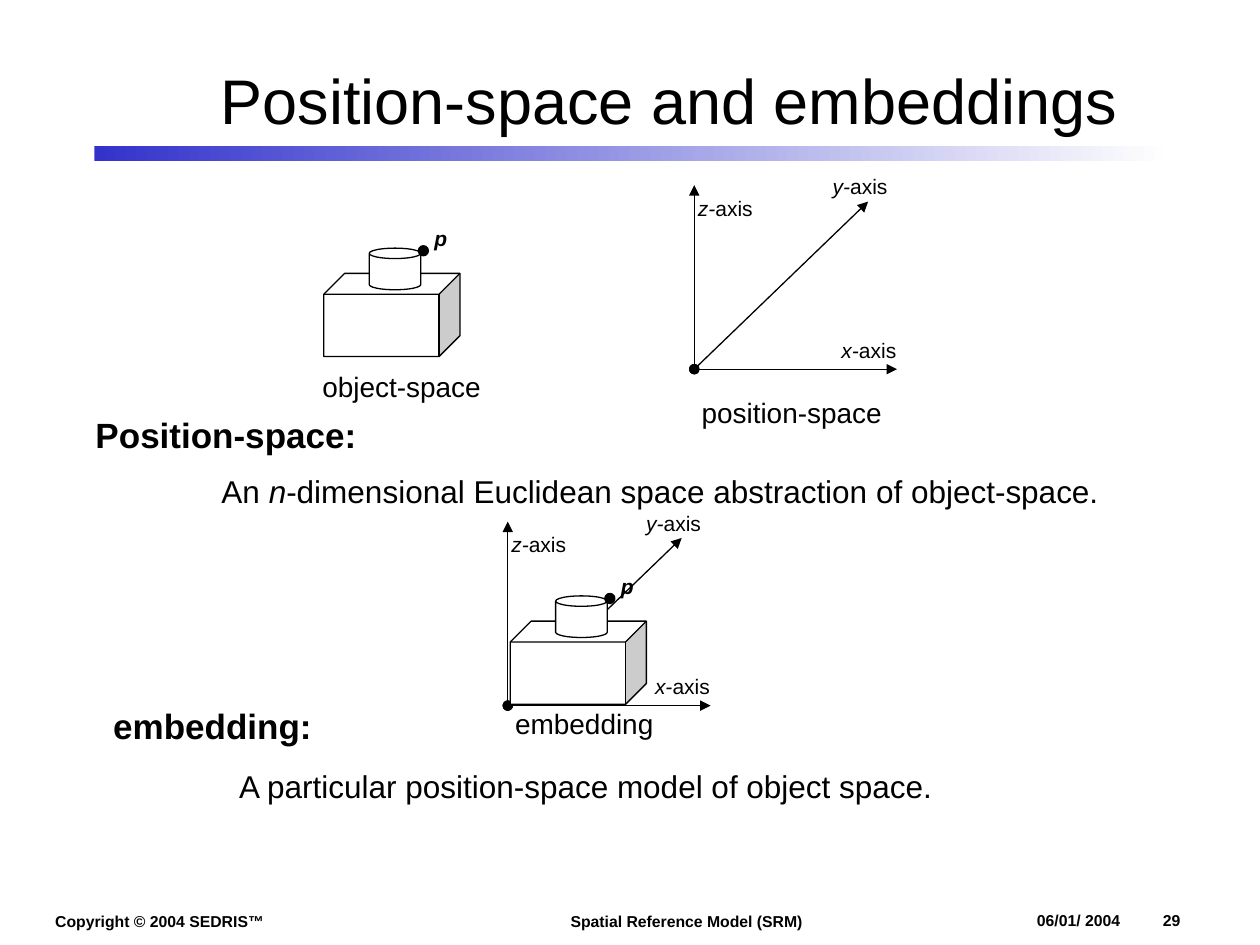
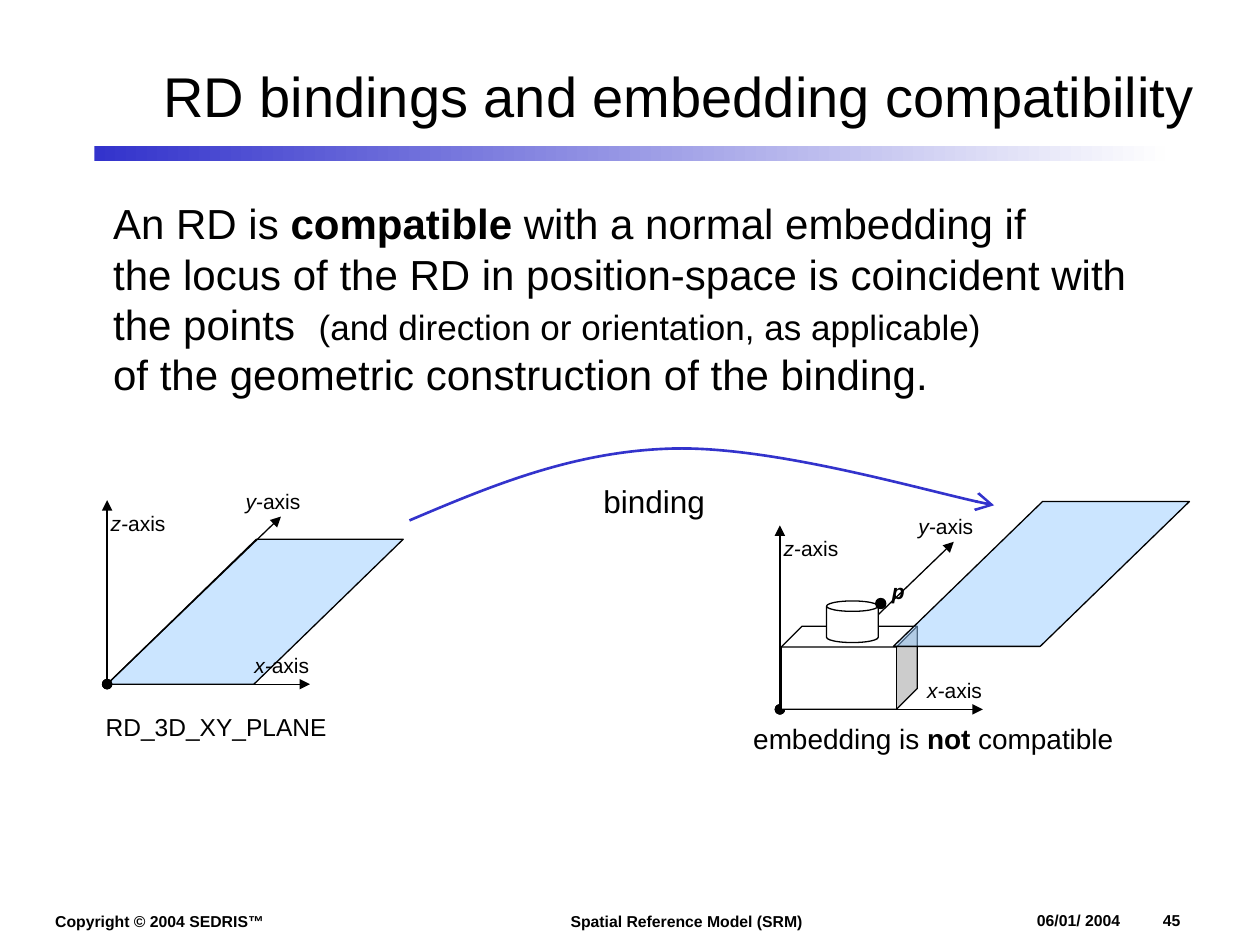
from typing import NamedTuple, Optional

from lxml import etree
from pptx import Presentation
from pptx.dml.color import RGBColor
from pptx.enum import shapes, text
from pptx.oxml.ns import qn
from pptx.util import Inches, Pt

BLACK = RGBColor(0x00, 0x00, 0x00)
WHITE = RGBColor(0xFF, 0xFF, 0xFF)
BAND_START = RGBColor(0x33, 0x33, 0xCC)
BAND_END = RGBColor(0xFE, 0xFE, 0xFE)
PLANE_BLUE = RGBColor(0x99, 0xCC, 0xFF)
FONT = "Arial"
KIND = shapes.MSO_SHAPE
PLANE_SIZE = (2.35, 1.15)


class Run(NamedTuple):
    text: str
    bold: bool = False
    italic: bool = False
    size: Optional[float] = None


class Line(NamedTuple):
    runs: list[Run]
    space_after: float = 0
    indent: float = 0
    spacing: Optional[float] = None


class Box(NamedTuple):
    left: float
    top: float
    width: float
    height: float

    def lengths(self) -> list:
        return [Inches(value) for value in self]


class Axis(NamedTuple):
    """End of the arrow and place of its label, both measured from the origin."""
    letter: str
    end: tuple[float, float]
    label: tuple[float, float]


AXES = [
    Axis("x", (1.61, 0), (1.07, -0.3)),
    Axis("z", (0, -1.46), (-0.07, -1.43)),
    Axis("y", (1.38, -1.33), (1, -1.6)),
]


def add_text(slide, box: Box, lines: list[Line], size: float,
             align=text.PP_ALIGN.LEFT, anchor=text.MSO_ANCHOR.TOP, inset: bool = True) -> None:
    frame = slide.shapes.add_textbox(*box.lengths()).text_frame
    frame_format = {"word_wrap": True, "vertical_anchor": anchor}
    if not inset:
        frame_format |= {f"margin_{side}": 0 for side in ("left", "top", "right", "bottom")}
    for name, value in frame_format.items():
        setattr(frame, name, value)
    for index, line in enumerate(lines):
        paragraph = frame.add_paragraph() if index else frame.paragraphs[0]
        paragraph.alignment = align
        paragraph.space_after = Pt(line.space_after)
        if line.spacing:
            paragraph.line_spacing = line.spacing
        if line.indent:
            properties = paragraph._p.get_or_add_pPr()
            properties.set("marL", str(Inches(line.indent)))
            properties.set("indent", "0")
        for part in line.runs:
            run = paragraph.add_run()
            run.text = part.text
            run.font.color.rgb = BLACK
            run_format = {"name": FONT, "size": Pt(part.size or size),
                          "bold": part.bold, "italic": part.italic}
            for name, value in run_format.items():
                setattr(run.font, name, value)


def add_label(slide, box: Box, runs: list[Run], size: float, **options) -> None:
    add_text(slide, box, [Line(runs)], size, **options)


def add_outlined(slide, kind, box: Box, fill: RGBColor):
    shape = slide.shapes.add_shape(kind, *box.lengths())
    shape.shadow.inherit = False
    shape.fill.solid()
    shape.fill.fore_color.rgb = fill
    shape.line.color.rgb = BLACK
    shape.line.width = Pt(0.75)
    return shape


def add_arrowhead(shape, end: str, kind: str, size: str = "med") -> None:
    """Add headEnd or tailEnd; a headEnd must come first."""
    line = shape.line._get_or_add_ln()
    etree.SubElement(line, qn(f"a:{end}"), type=kind, w=size, len=size)


def add_axes(slide, left: float, top: float) -> None:
    for axis in AXES:
        across, down = axis.end
        arrow = slide.shapes.add_connector(
            shapes.MSO_CONNECTOR.STRAIGHT, Inches(left), Inches(top),
            Inches(left + across), Inches(top + down))
        arrow.line.color.rgb = BLACK
        arrow.line.width = Pt(0.75)
        add_arrowhead(arrow, "headEnd", "oval")
        add_arrowhead(arrow, "tailEnd", "triangle")
        etree.SubElement(arrow._element.spPr, qn("a:effectLst"))
    for axis in AXES:
        across, down = axis.label
        add_label(slide, Box(left + across, top + down, 0.71, 0.32),
                  [Run(f"{axis.letter}-", italic=True), Run("axis")], 12)


def add_object(slide, left: float, top: float) -> None:
    """Draw the block with its cylinder and the marked point p."""
    add_outlined(slide, KIND.CUBE, Box(left, top, 1.08, 0.66), WHITE)
    add_outlined(slide, KIND.CAN, Box(left + 0.36, top - 0.2, 0.41, 0.33), WHITE)
    add_outlined(slide, KIND.OVAL, Box(left + 0.75, top - 0.22, 0.08, 0.08), BLACK)
    add_label(slide, Box(left + 0.78, top - 0.43, 0.34, 0.32),
              [Run("p", bold=True, italic=True)], 12)


def add_plane(slide, left: float, top: float) -> None:
    plane = add_outlined(slide, KIND.PARALLELOGRAM, Box(left, top, *PLANE_SIZE), PLANE_BLUE)
    plane.adjustments[0] = 1.03
    color = plane._element.spPr.find(qn("a:solidFill")).find(qn("a:srgbClr"))
    etree.SubElement(color, qn("a:alpha"), val="50000")


def add_curved_arrow(slide, start: tuple[float, float],
                     controls: list[tuple[float, float]]) -> None:
    """Draw Bézier pieces; every three control points make one piece."""
    builder = slide.shapes.build_freeform(Inches(start[0]), Inches(start[1]))
    builder.add_line_segments([(Inches(x), Inches(y)) for x, y in controls], close=False)
    curve = builder.convert_to_shape()
    curve.shadow.inherit = False
    curve.fill.background()
    curve.line.color.rgb = BAND_START
    curve.line.width = Pt(1.5)
    add_arrowhead(curve, "tailEnd", "arrow", "lg")
    segments = list(curve._element.iter(qn("a:lnTo")))
    outline = segments[0].getparent()
    for first in range(0, len(segments), 3):
        piece = etree.SubElement(outline, qn("a:cubicBezTo"))
        for segment in segments[first:first + 3]:
            piece.append(segment[0])
            outline.remove(segment)


def add_definition(slide, left: float, top: float, term: str, meaning: list[Run],
                   spacing: Optional[float] = None) -> None:
    add_text(slide, Box(left, top, 8.43, 0.9), [
        Line([Run(term, bold=True, size=20)], space_after=12),
        Line(meaning, space_after=12, indent=1, spacing=spacing),
    ], 18)


def add_base_slide(presentation, title: str, title_box: Box, title_size: float, number: int):
    slide = presentation.slides.add_slide(presentation.slide_layouts[6])
    for left, width, footer in [(0.34, 2.1, "Copyright © 2004 SEDRIS™"),
                                (4.43, 2.3, "Spatial Reference Model (SRM)")]:
        add_label(slide, Box(left, 7.19, width, 0.25), [Run(footer, bold=True)], 9)
    for left, width, footer in [(8.23, 0.95, "06/01/ 2004"), (9.23, 0.44, str(number))]:
        add_label(slide, Box(left, 7.23, width, 0.15), [Run(footer, bold=True)], 9,
                  anchor=text.MSO_ANCHOR.BOTTOM, inset=False)
    band = slide.shapes.add_shape(KIND.RECTANGLE, *Box(0.75, 1.16, 8.5, 0.12).lengths())
    band.shadow.inherit = False
    band.line.fill.background()
    band.fill.gradient()
    band.fill.gradient_angle = 0
    for stop, color in zip(band.fill.gradient_stops, (BAND_START, BAND_END)):
        stop.color.rgb = color
    add_label(slide, title_box, [Run(title)], title_size,
              align=text.PP_ALIGN.CENTER, anchor=text.MSO_ANCHOR.MIDDLE)
    return slide


def build_position_space(presentation) -> None:
    slide = add_base_slide(presentation, "Position-space and embeddings",
                           Box(1.16, 0.24, 8.3, 1.09), 36, 29)
    add_definition(slide, 0.66, 3.23, "Position-space:", [
        Run("An "), Run("n", italic=True),
        Run("-dimensional Euclidean space abstraction of object-space.")], spacing=0.9)
    add_object(slide, 2.57, 2.17)
    add_axes(slide, 5.51, 2.93)
    add_definition(slide, 0.8, 5.54, "embedding:",
                   [Run("A particular position-space model of object space.")])
    add_axes(slide, 4.03, 5.6)
    add_object(slide, 4.05, 4.93)
    for left, top, caption in [(2.46, 2.88, "object-space"), (5.47, 3.09, "position-space"),
                               (3.99, 5.56, "embedding")]:
        add_label(slide, Box(left, top, 1.88, 0.32), [Run(caption)], 16)


def build_compatibility(presentation) -> None:
    slide = add_base_slide(presentation, "RD bindings and embedding compatibility",
                           Box(1.14, 0.38, 8.5, 0.75), 32, 45)
    add_axes(slide, 6.19, 5.63)
    add_object(slide, 6.2, 4.97)
    add_label(slide, Box(5.88, 5.68, 3.13, 0.47),
              [Run("embedding is "), Run("not", bold=True), Run(" compatible")], 16)
    add_plane(slide, 0.85, 4.28)
    add_text(slide, Box(0.8, 1.52, 8.6, 1.7), [
        Line([Run("An RD is "), Run("compatible", bold=True),
              Run(" with a normal embedding if")]),
        Line([Run("the locus of the RD in position-space is coincident with")]),
        Line([Run("the points  "),
              Run("(and direction or orientation, as applicable)", size=20)]),
        Line([Run("of the geometric construction of the binding.")]),
    ], 24)
    add_axes(slide, 0.85, 5.43)
    add_plane(slide, 7.09, 3.98)
    add_curved_arrow(slide, (3.25, 4.13), [(3.91, 3.85), (4.56, 3.58), (5.34, 3.56),
                                           (6.11, 3.54), (7.47, 3.93), (7.89, 4.01)])
    add_label(slide, Box(4.69, 3.78, 1.2, 0.4), [Run("binding")], 18)
    add_label(slide, Box(0.74, 5.6, 2.2, 0.34), [Run("RD_3D_XY_PLANE")], 14)


def main() -> None:
    presentation = Presentation()
    presentation.slide_width = Inches(10)
    presentation.slide_height = Inches(7.5)
    build_position_space(presentation)
    build_compatibility(presentation)
    presentation.save("out.pptx")


if __name__ == "__main__":
    main()
